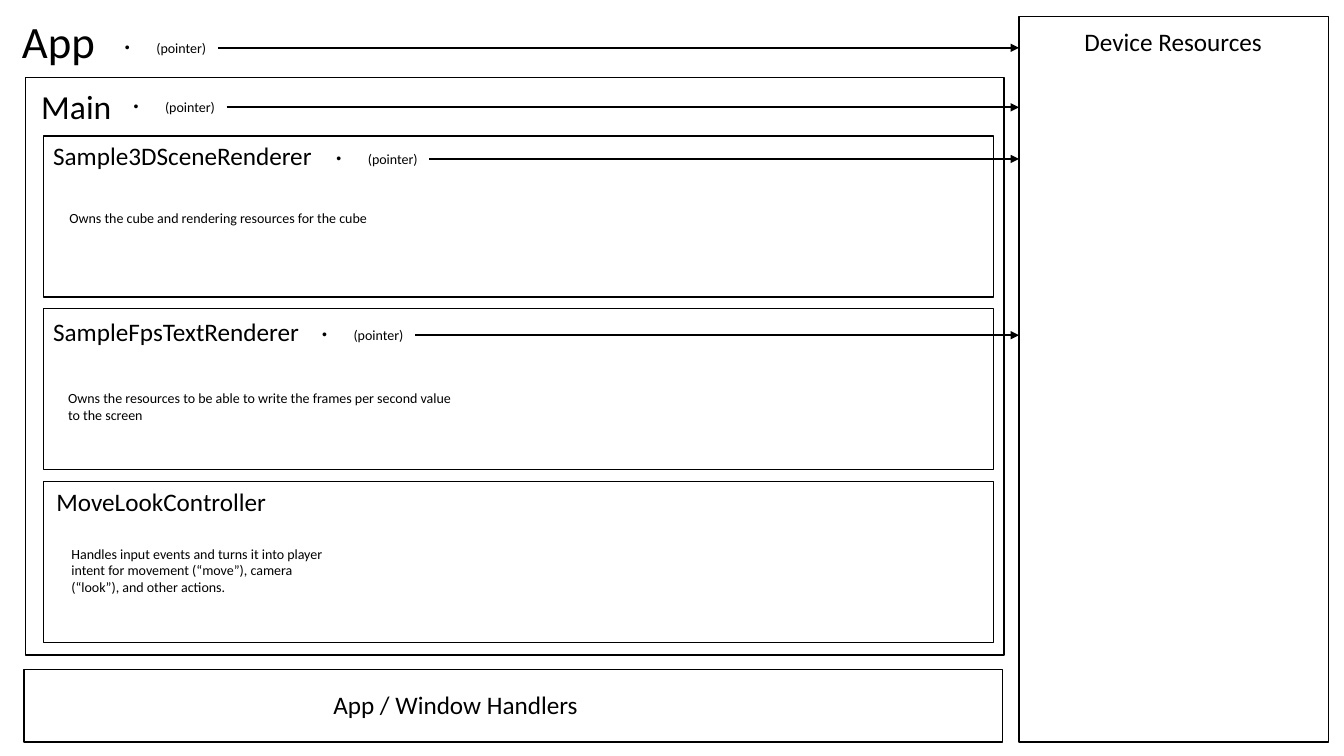
from lxml import etree
from pptx import Presentation
from pptx.dml.color import RGBColor
from pptx.enum.shapes import MSO_CONNECTOR, MSO_SHAPE
from pptx.enum.text import MSO_ANCHOR, MSO_AUTO_SIZE, PP_ALIGN
from pptx.oxml.ns import qn
from pptx.util import Cm, Pt

BLACK = RGBColor(0, 0, 0)
FONT = "Calibri"
RECTANGLE = MSO_SHAPE.RECTANGLE
STRAIGHT = MSO_CONNECTOR.STRAIGHT
TOP = MSO_ANCHOR.TOP
LEFT = PP_ALIGN.LEFT
NO_AUTOFIT = MSO_AUTO_SIZE.NONE
FIT_SHAPE = MSO_AUTO_SIZE.SHAPE_TO_FIT_TEXT

DEVICE_LEFT = 25.68
RENDERER_LEFT, RENDERER_TOP, RENDERER_PITCH = 1.09, 3.43, 4.35
POINTER_WIDTH, POINTER_HEIGHT = 2.59, 0.69


def write(box, text, size, wrap):
    """Put one black, left-aligned run into a box and return its paragraph."""
    frame = box.text_frame
    frame.word_wrap = wrap
    frame.vertical_anchor = TOP
    para = frame.paragraphs[0]
    para.alignment = LEFT
    span = para.add_run()
    span.text = text
    span.font.name = FONT
    span.font.size = Pt(size)
    span.font.color.rgb = BLACK
    return para


deck = Presentation()
deck.slide_width, deck.slide_height = Cm(33.87), Cm(19.05)
page = deck.slides.add_slide(deck.slide_layouts[5])
shapes = page.shapes

# Frames: device resources, main, window handlers, then the three members of main
frames = [
    (DEVICE_LEFT, 0.41, 7.8, 18.29),
    (0.64, 1.96, 24.66, 14.55),
    (0.61, 16.87, 24.66, 1.83),
]
for row in range(3):
    frames.append((RENDERER_LEFT, RENDERER_TOP + row * RENDERER_PITCH, 23.95, 4.06))
for frame_place in frames:
    outline = shapes.add_shape(RECTANGLE, *map(Cm, frame_place))
    outline.shadow.inherit = False
    outline.fill.background()
    outline.line.color.rgb = BLACK
    outline.line.width = Pt(1)

title = shapes.title
title.left, title.top, title.width, title.height = Cm(0.3), Cm(0.23), Cm(2.49), Cm(1.63)
write(title, "App", 32, True)
title.text_frame.auto_size = NO_AUTOFIT

# Headings and descriptions: text, size, wrap, left, top, width, height
labels = [
    ("Device Resources", 18, False, 27.08, 0.53, 5.03, 1.02),
    ("App / Window Handlers", 18, False, 8.15, 17.25, 6.76, 1.02),
    ("Main", 24, True, 0.79, 2.03, 6.1, 1.27),
    ("Sample3DSceneRenderer", 18, False, 1.09, 3.4, 7.11, 1.02),
    ("SampleFpsTextRenderer", 18, False, 1.09, 7.85, 6.78, 1.02),
    ("MoveLookController", 18, False, 1.17, 12.12, 5.84, 1.02),
    ("Owns the cube and rendering resources for the cube",
     10, True, 1.5, 5.16, 10.26, 0.69),
    ("Owns the resources to be able to write the frames per second value to the screen",
     10, True, 1.47, 9.7, 10.26, 1.12),
    ("Handles input events and turns it into player intent for movement "
     "(“move”), camera (“look”), and other actions.",
     10, True, 1.55, 13.61, 6.91, 1.55),
]
for text, size, wrap, *place in labels:
    box = shapes.add_textbox(*map(Cm, place))
    write(box, text, size, wrap)
    box.text_frame.auto_size = FIT_SHAPE

# Each pointer is a bulleted label with an arrow to the device resources
for left, top in [(2.9, 0.86), (3.12, 2.36), (8.23, 3.66), (7.87, 8.1)]:
    box = shapes.add_textbox(Cm(left), Cm(top), Cm(POINTER_WIDTH), Cm(POINTER_HEIGHT))
    para = write(box, "(pointer)", 10, False)
    box.text_frame.auto_size = FIT_SHAPE
    properties = para._p.get_or_add_pPr()
    properties.set("marL", str(Cm(0.79)))
    properties.set("indent", str(-Cm(0.79)))
    etree.SubElement(properties, qn("a:buFont")).set("typeface", "Arial")
    etree.SubElement(properties, qn("a:buChar")).set("char", "•")

    middle = Cm(top + POINTER_HEIGHT / 2)
    arrow = shapes.add_connector(
        STRAIGHT, Cm(left + POINTER_WIDTH), middle, Cm(DEVICE_LEFT), middle)
    arrow.line.color.rgb = BLACK
    arrow.line.width = Pt(1.5)
    etree.SubElement(arrow.line._get_or_add_ln(), qn("a:tailEnd")).set("type", "triangle")
    etree.SubElement(arrow._element.spPr, qn("a:effectLst"))

deck.save("out.pptx")
